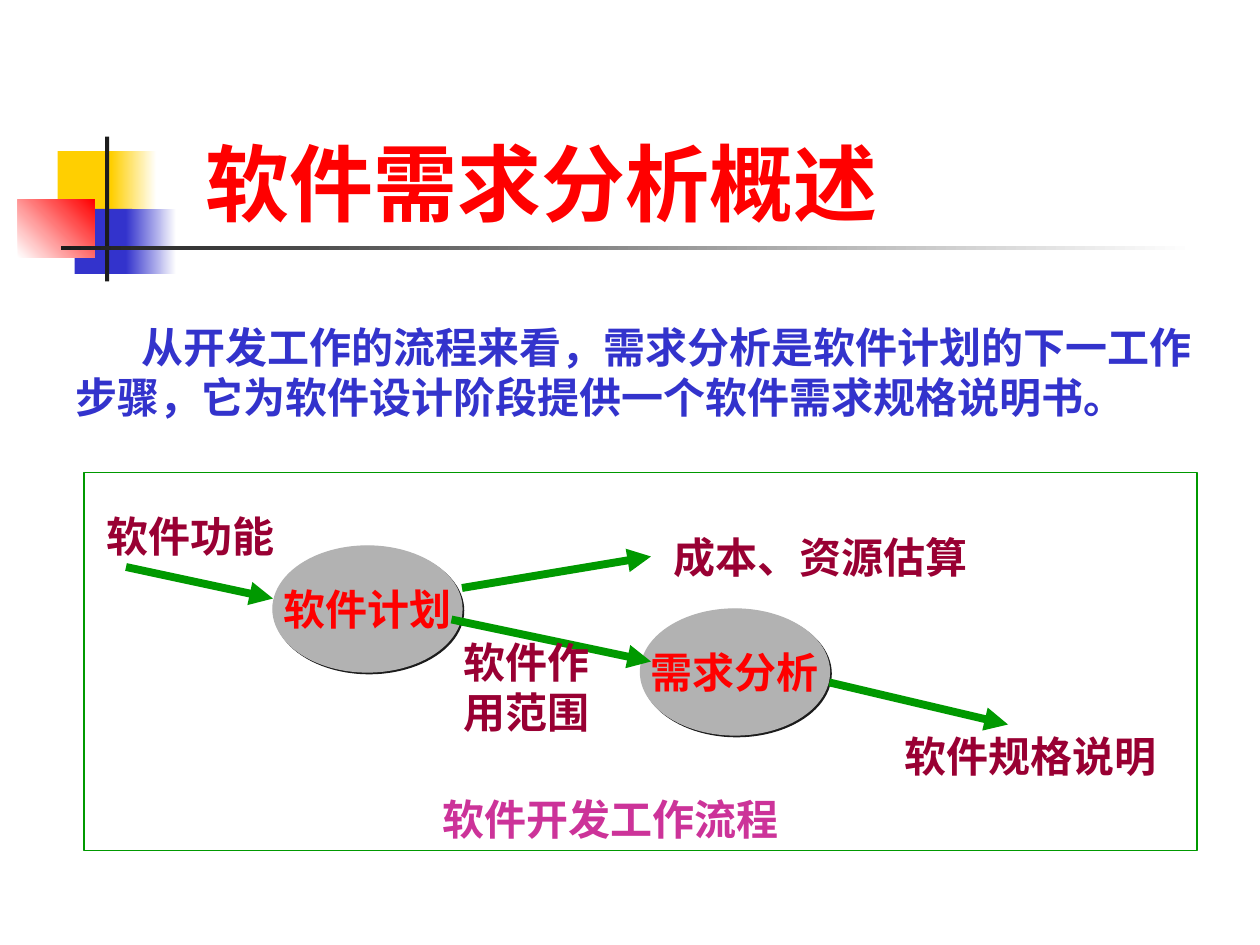
from typing import NamedTuple, Optional

import lxml.etree
import pptx
import pptx.dml.color
import pptx.enum.shapes
import pptx.enum.text
import pptx.oxml
import pptx.oxml.ns
import pptx.util

COLUMNS_PER_INCH = 12  # the slide is a grid of 120 columns by 90 rows
RED, BLUE, YELLOW = "FF0000", "3333CC", "FFCF01"
BLACK, WHITE, GRAY = "1C1C1C", "FFFFFF", "B2B2B2"
GREEN, MAROON, PINK = "009900", "990033", "CC3399"
SHAPE = pptx.enum.shapes.MSO_SHAPE


class Box(NamedTuple):
    column: float
    row: float
    width: float
    height: float


class Block(NamedTuple):
    box: Box
    start: str
    end: Optional[str] = None
    angle: float = 0


class Label(NamedTuple):
    text: str
    box: Box
    color: str = MAROON
    size: float = 24
    font: str = "Lato"
    indent: float = 0


class Arrow(NamedTuple):
    start: tuple[float, float]
    end: tuple[float, float]


BLOCKS = [
    Block(Box(5.5, 14.4, 5.8, 6.2), YELLOW),
    Block(Box(10.6, 14.4, 4.3, 6.2), YELLOW, WHITE),
    Block(Box(7.1, 19.9, 5.5, 6.2), BLUE),
    Block(Box(12, 19.9, 4.8, 6.2), BLUE, WHITE),
    Block(Box(1.7, 19, 7.3, 5.5), WHITE, RED, angle=45),
    Block(Box(10, 13, 0.4, 13.8), BLACK),
    Block(Box(5.8, 23.4, 108, 0.4), BLACK, WHITE),
]
HEADINGS = [
    Label("软件需求分析概述", Box(18.4, 11.9, 78, 10.8), RED, 48, "Noto Sans CJK SC"),
    Label("从开发工作的流程来看，需求分析是软件计划的下一工作步骤，"
          "它为软件设计阶段提供一个软件需求规格说明书。",
          Box(6, 30, 109, 10.8), BLUE, indent=6.3),
]
STAGES = [
    Label("软件计划", Box(26, 52, 18, 12), RED),
    Label("需求分析", Box(61, 58, 18, 12), RED),
]
ARROWS = [
    Arrow((12, 54), (26, 57)),
    Arrow((43, 59), (62, 63)),
    Arrow((79, 65), (96, 69)),
    Arrow((44, 56), (62, 53)),
]
FLOW_LABELS = [
    Label("软件功能", Box(9, 48, 21, 6)),
    Label("软件作用范围", Box(43, 60, 18, 10.8)),
    Label("成本、资源估算", Box(63, 50, 35, 6)),
    Label("软件规格说明", Box(85, 69, 35, 6)),
    Label("软件开发工作流程", Box(41, 75, 35, 6), PINK),
]
FRAME = Box(8, 45, 106, 36)


def grid(units: float) -> pptx.util.Length:
    return pptx.util.Inches(units / COLUMNS_PER_INCH)


def rgb(color: str) -> pptx.dml.color.RGBColor:
    return pptx.dml.color.RGBColor.from_string(color)


def add_plain_shape(slide, kind, box: Box):
    shape = slide.shapes.add_shape(kind, *map(grid, box))
    shape.shadow.inherit = False
    return shape


def add_block(slide, block: Block) -> None:
    shape = add_plain_shape(slide, SHAPE.RECTANGLE, block.box)
    shape.line.fill.background()
    if block.end is None:
        shape.fill.solid()
        shape.fill.fore_color.rgb = rgb(block.start)
        return
    shape.fill.gradient()
    shape.fill.gradient_angle = block.angle
    for stop, color in zip(shape.fill.gradient_stops, (block.start, block.end)):
        stop.color.rgb = rgb(color)


def write_text(shape, label: Label) -> None:
    paragraph = shape.text_frame.paragraphs[0]
    paragraph.text = label.text
    if label.indent:
        paragraph._p.get_or_add_pPr().set("indent", str(int(grid(label.indent))))
    paragraph.font.name = label.font
    paragraph.font.size = pptx.util.Pt(label.size)
    paragraph.font.bold = True
    paragraph.font.color.rgb = rgb(label.color)


def add_label(slide, label: Label) -> None:
    textbox = slide.shapes.add_textbox(*map(grid, label.box))
    textbox.text_frame.word_wrap = True
    textbox.text_frame.auto_size = pptx.enum.text.MSO_AUTO_SIZE.SHAPE_TO_FIT_TEXT
    write_text(textbox, label)


def add_stage(slide, stage: Label) -> None:
    """Draw a gray ellipse with a thin hard shadow at its lower right."""
    ellipse = add_plain_shape(slide, SHAPE.OVAL, stage.box)
    ellipse.fill.solid()
    ellipse.fill.fore_color.rgb = rgb(GRAY)
    ellipse.line.color.rgb = rgb(GRAY)
    ellipse.line.width = pptx.util.Pt(0.75)
    effects = ellipse._element.spPr.find(pptx.oxml.ns.qn("a:effectLst"))
    shadow = lxml.etree.SubElement(
        effects, pptx.oxml.ns.qn("a:outerShdw"),
        dist=str(int(pptx.util.Pt(1.4))), dir=str(45 * 60000))
    lxml.etree.SubElement(shadow, pptx.oxml.ns.qn("a:srgbClr"), val=BLACK)
    ellipse.text_frame.word_wrap = False
    ellipse.text_frame.vertical_anchor = pptx.enum.text.MSO_ANCHOR.MIDDLE
    write_text(ellipse, stage)
    ellipse.text_frame.paragraphs[0].alignment = pptx.enum.text.PP_ALIGN.CENTER


def add_arrow(slide, arrow: Arrow) -> None:
    connector = slide.shapes.add_connector(
        pptx.enum.shapes.MSO_CONNECTOR.STRAIGHT,
        *map(grid, arrow.start + arrow.end))
    connector.line.color.rgb = rgb(GREEN)
    connector.line.width = pptx.util.Pt(4.5)
    lxml.etree.SubElement(
        connector.line._get_or_add_ln(), pptx.oxml.ns.qn("a:tailEnd"), type="triangle")
    lxml.etree.SubElement(
        connector._element.spPr, pptx.oxml.ns.qn("a:effectLst"))


def add_frame(slide, box: Box) -> None:
    frame = add_plain_shape(slide, SHAPE.RECTANGLE, box)
    frame.fill.background()
    frame.line.color.rgb = rgb(GREEN)
    frame.line.width = pptx.util.Pt(0.75)


def main() -> None:
    presentation = pptx.Presentation()
    presentation.slide_width = grid(120)
    presentation.slide_height = grid(90)
    slide = presentation.slides.add_slide(presentation.slide_layouts[6])
    for block in BLOCKS:
        add_block(slide, block)
    for heading in HEADINGS:
        add_label(slide, heading)
    for stage in STAGES:
        add_stage(slide, stage)
    for arrow in ARROWS:
        add_arrow(slide, arrow)
    for label in FLOW_LABELS:
        add_label(slide, label)
    add_frame(slide, FRAME)
    presentation.save("out.pptx")


if __name__ == "__main__":
    main()
